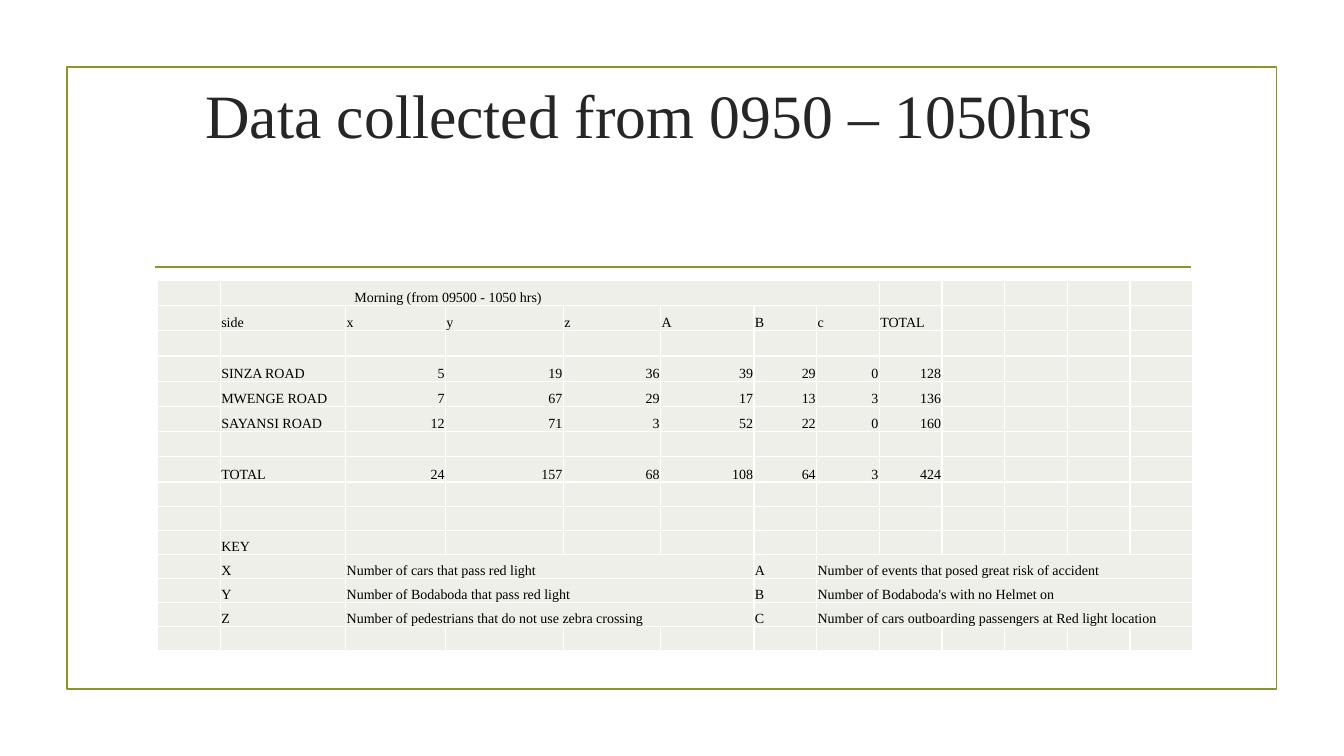
from dataclasses import dataclass

from lxml import etree
from pptx import Presentation
from pptx.dml.color import RGBColor
from pptx.enum.shapes import MSO_CONNECTOR, MSO_SHAPE
from pptx.enum.text import MSO_ANCHOR, PP_ALIGN
from pptx.oxml.ns import qn
from pptx.util import Emu, Inches, Pt

RECT = MSO_SHAPE.RECTANGLE
STRAIGHT = MSO_CONNECTOR.STRAIGHT
MIDDLE, BOTTOM = MSO_ANCHOR.MIDDLE, MSO_ANCHOR.BOTTOM
LEFT, CENTER, RIGHT = PP_ALIGN.LEFT, PP_ALIGN.CENTER, PP_ALIGN.RIGHT

WIDTH, HEIGHT = Inches(13.33), Inches(7.5)
FONT = "Times New Roman"
GREEN, DARK, BLACK, WHITE, PALE = "83992A", "262626", "000000", "FFFFFF", "EDEFE8"

# Relative sizes of the table's columns and rows
COLUMNS = [1, 2, 1.59, 1.88, 1.55, 1.49] + [1] * 7
ROWS = [1.05] * 8 + [1] * 7


@dataclass
class Box:
    """Left, top, width and height in percent of the slide."""
    x: float
    y: float
    w: float
    h: float

    def emu(self) -> tuple[Emu, Emu, Emu, Emu]:
        return (Emu(round(WIDTH * self.x / 100)), Emu(round(HEIGHT * self.y / 100)),
                Emu(round(WIDTH * self.w / 100)), Emu(round(HEIGHT * self.h / 100)))


@dataclass
class Entry:
    """Text of one table cell, which may span several columns."""
    row: int
    col: int
    text: str
    span: int = 1
    indent: float = 0.01


FRAME = Box(4.98, 8.9, 90, 82.3)
RULE = Box(11.5, 35.33, 77.1, 0)
TITLE = Box(11.8, 9.2, 73.1, 11.75)
TABLE = Box(11.73, 37.1, 77.04, 48.93)

COUNTS = {
    1: ["side", "x", "y", "z", "A", "B", "c", "TOTAL"],
    3: ["SINZA ROAD", "5", "19", "36", "39", "29", "0", "128"],
    4: ["MWENGE ROAD", "7", "67", "29", "17", "13", "3", "136"],
    5: ["SAYANSI ROAD", "12", "71", "3", "52", "22", "0", "160"],
    7: ["TOTAL", "24", "157", "68", "108", "64", "3", "424"],
}
KEY = [
    ("X", "Number of cars that pass red light",
     "A", "Number of events that posed great risk of accident"),
    ("Y", "Number of Bodaboda that pass red light",
     "B", "Number of Bodaboda's with no Helmet on"),
    ("Z", "Number of pedestrians that do not use zebra crossing",
     "C", "Number of cars outboarding passengers at Red light location"),
]
KEY_PLACES = [(1, 1), (2, 4), (6, 1), (7, 6)]  # column, span

ENTRIES = [Entry(0, 1, "Morning (from 09500 - 1050 hrs)", 7, 1.33), Entry(10, 1, "KEY")]
ENTRIES += [Entry(row, col, text)
            for row, texts in COUNTS.items() for col, text in enumerate(texts, 1)]
ENTRIES += [Entry(row, col, text, span)
            for row, texts in enumerate(KEY, 11)
            for (col, span), text in zip(KEY_PLACES, texts)]


def rgb(value: str) -> RGBColor:
    return RGBColor.from_string(value)


def style_text(p, size: float, color: str, align) -> None:
    p.alignment = align
    p.font.name, p.font.size = FONT, Pt(size)
    p.font.color.rgb = rgb(color)
    for r in p.runs:
        r.font.name, r.font.size = FONT, Pt(size)
        r.font.color.rgb = rgb(color)


def style_line(line) -> None:
    line.color.rgb = rgb(GREEN)
    line.width = Pt(1.25)


def add_frame(slide) -> None:
    sp = slide.shapes.add_shape(RECT, *FRAME.emu())
    sp.shadow.inherit = False
    sp.fill.background()
    style_line(sp.line)


def add_rule(slide) -> None:
    x, y, w, h = RULE.emu()
    rule = slide.shapes.add_connector(STRAIGHT, x, y, x + w, y + h)
    style_line(rule.line)
    etree.SubElement(rule._element.spPr, qn("a:effectLst"))


def add_title(slide, text: str) -> None:
    tf = slide.shapes.add_textbox(*TITLE.emu()).text_frame
    tf.word_wrap = True
    tf.vertical_anchor = MIDDLE
    p = tf.paragraphs[0]
    p.text = text
    style_text(p, 44, DARK, CENTER)


def add_borders(cell) -> None:
    tc_pr = cell._tc.get_or_add_tcPr()
    for i, side in enumerate(("a:lnL", "a:lnR", "a:lnT", "a:lnB")):
        ln = etree.Element(qn(side), w=str(Pt(1)))
        fill = etree.SubElement(ln, qn("a:solidFill"))
        etree.SubElement(fill, qn("a:srgbClr"), val=WHITE)
        tc_pr.insert(i, ln)


def style_cell(cell) -> None:
    cell.fill.solid()
    cell.fill.fore_color.rgb = rgb(PALE)
    cell.vertical_anchor = BOTTOM
    cell.margin_left = cell.margin_right = cell.margin_top = Inches(0.01)
    cell.margin_bottom = 0
    p = cell.text_frame.paragraphs[0]
    style_text(p, 10, BLACK, RIGHT if p.text.isdigit() else LEFT)
    if not p.text:
        etree.SubElement(p._p, qn("a:endParaRPr"), sz="1000")
    if not cell.is_spanned:
        add_borders(cell)


def add_count_table(slide) -> None:
    x, y, w, h = TABLE.emu()
    table = slide.shapes.add_table(len(ROWS), len(COLUMNS), x, y, w, h).table
    table.first_row = table.horz_banding = False
    for column, share in zip(table.columns, COLUMNS):
        column.width = Emu(round(w * share / sum(COLUMNS)))
    for row, share in zip(table.rows, ROWS):
        row.height = Emu(round(h * share / sum(ROWS)))
    for entry in ENTRIES:
        cell = table.cell(entry.row, entry.col)
        cell.text = entry.text
        if entry.span > 1:
            cell.merge(table.cell(entry.row, entry.col + entry.span - 1))
    for cell in table.iter_cells():
        style_cell(cell)
    for entry in ENTRIES:
        table.cell(entry.row, entry.col).margin_left = Inches(entry.indent)


def main() -> None:
    prs = Presentation()
    prs.slide_width, prs.slide_height = WIDTH, HEIGHT
    slide = prs.slides.add_slide(prs.slide_layouts[6])
    add_frame(slide)
    add_rule(slide)
    add_title(slide, "Data collected from 0950 – 1050hrs")
    add_count_table(slide)
    prs.save("out.pptx")


if __name__ == "__main__":
    main()
